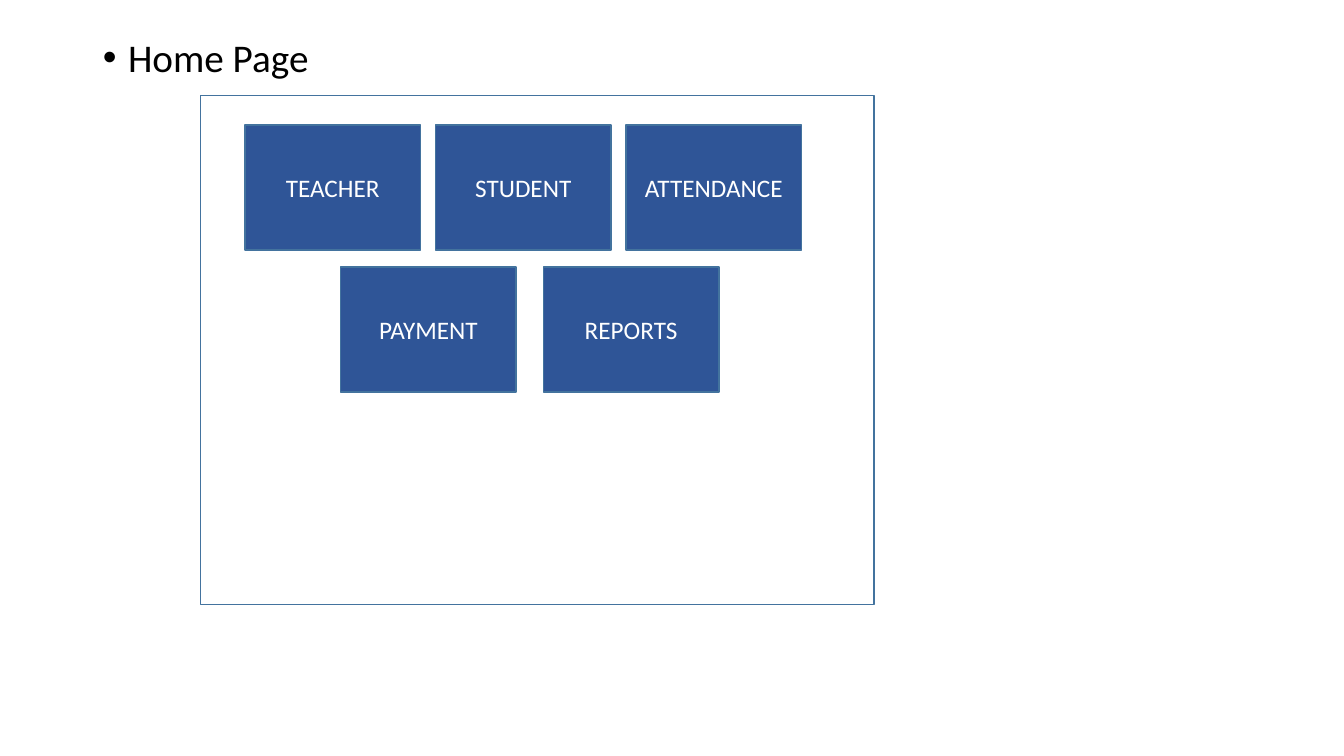
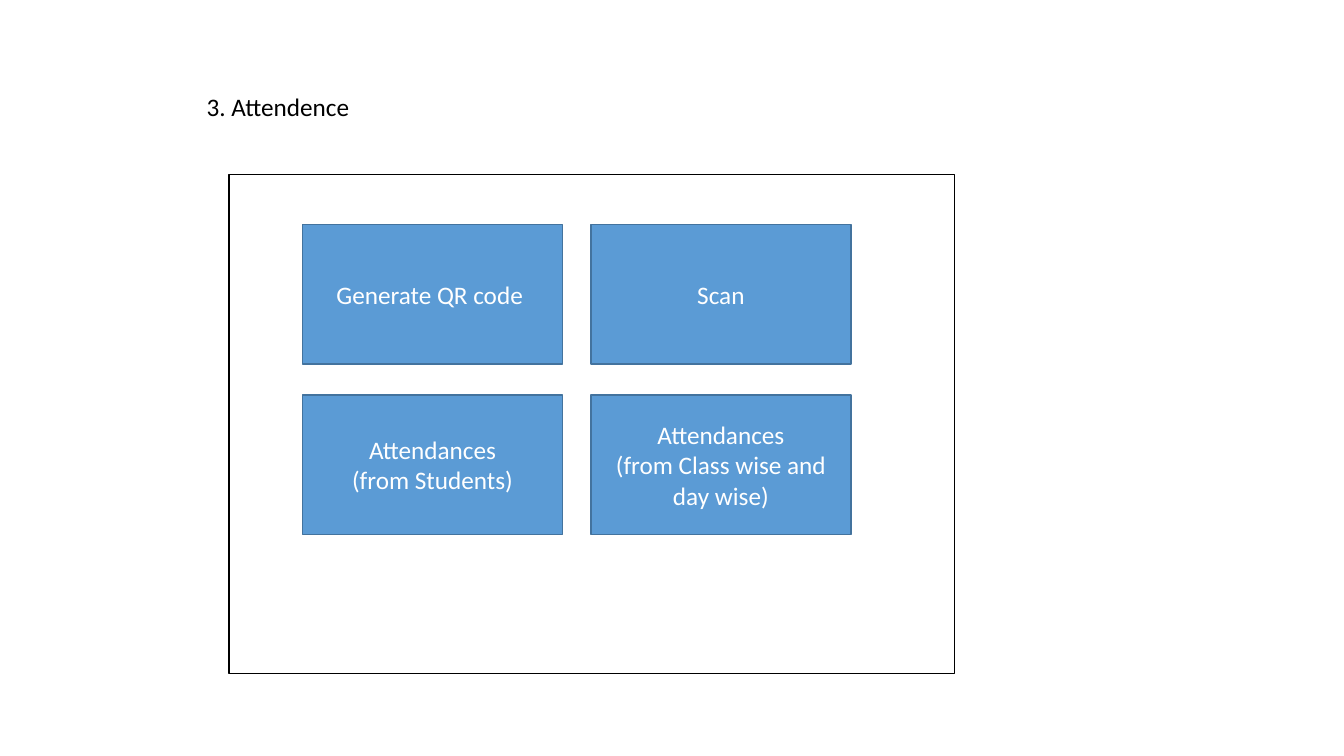
from lxml import etree
from pptx import Presentation
from pptx.dml.color import RGBColor
from pptx.enum.shapes import MSO_SHAPE as SHAPE
from pptx.enum.text import MSO_ANCHOR as ANCHOR, MSO_AUTO_SIZE as AUTO_SIZE, PP_ALIGN as ALIGN
from pptx.oxml.ns import qn
from pptx.util import Inches, Pt

FONT = "Calibri"
COLORS = {
    "text": "000000",
    "white": "FFFFFF",
    "navy": "2F5597",
    "blue": "5B9BD5",
    "edge": "43739E",
}
TITLE_ONLY = 5
INDENT = 0.25


def color(name):
    return RGBColor.from_string(COLORS[name])


def format_text(tf, size, color_name, align):
    """Give every paragraph the same font and alignment."""
    for p in tf.paragraphs:
        p.alignment = align
        for r in p.runs:
            r.font.name = FONT
            r.font.size = Pt(size)
            r.font.color.rgb = color(color_name)


def add_bullet(p):
    pPr = p._p.get_or_add_pPr()
    pPr.set("marL", str(Inches(INDENT)))
    pPr.set("indent", str(-Inches(INDENT)))
    font = etree.SubElement(pPr, qn("a:buFont"))
    font.set("typeface", "Arial")
    etree.SubElement(pPr, qn("a:buChar")).set("char", "•")


def add_titled_slide(prs, text, left, top, width, height, size):
    slide = prs.slides.add_slide(prs.slide_layouts[TITLE_ONLY])
    title = slide.shapes.title
    title.left, title.top = Inches(left), Inches(top)
    title.width, title.height = Inches(width), Inches(height)
    tf = title.text_frame
    tf.text = text
    tf.word_wrap = True
    tf.auto_size = AUTO_SIZE.NONE
    tf.vertical_anchor = ANCHOR.TOP
    format_text(tf, size, "text", ALIGN.LEFT)
    return slide


def add_rect(slide, left, top, width, height, fill=None, line="edge"):
    sp = slide.shapes.add_shape(SHAPE.RECTANGLE, Inches(left), Inches(top),
                                Inches(width), Inches(height))
    sp.shadow.inherit = False
    if fill:
        sp.fill.solid()
        sp.fill.fore_color.rgb = color(fill)
    else:
        sp.fill.background()
    sp.line.color.rgb = color(line)
    sp.line.width = Pt(1)
    return sp


def add_box_row(slide, labels, left, top, size, gap, fill):
    """Place equal labelled boxes side by side."""
    width, height = size
    for col, label in enumerate(labels):
        sp = add_rect(slide, left + col * (width + gap), top, width, height, fill)
        tf = sp.text_frame
        tf.text = label
        tf.word_wrap = True
        tf.vertical_anchor = ANCHOR.MIDDLE
        format_text(tf, 18, "white", ALIGN.CENTER)


def add_home_page(prs):
    slide = add_titled_slide(prs, "Home Page", 0.92, 0.33, 11.5, 0.6, 28)
    p = slide.shapes.title.text_frame.paragraphs[0]
    p.line_spacing = 0.9
    add_bullet(p)

    # Window frame and menu tiles
    add_rect(slide, 1.99, 0.95, 6.68, 5.05)
    rows = [
        (["TEACHER", "STUDENT", "ATTENDANCE"], 2.43, 0.15),
        (["PAYMENT", "REPORTS"], 3.38, 0.27),
    ]
    for row, (labels, left, gap) in enumerate(rows):
        add_box_row(slide, labels, left, 1.24 + row * 1.41, (1.74, 1.24), gap, "navy")


def add_attendance_page(prs):
    slide = add_titled_slide(prs, "3. Attendence", 1.95, 0.86, 7.5, 0.4, 18)

    # Window frame and option tiles
    add_rect(slide, 2.27, 1.73, 7.2, 4.95, "white", "text")
    rows = [
        ["Generate QR code ", "Scan"],
        ["Attendances\n(from Students)", "Attendances\n(from Class wise and day wise)"],
    ]
    for row, labels in enumerate(rows):
        add_box_row(slide, labels, 3, 2.23 + row * 1.69, (2.58, 1.38), 0.28, "blue")


def main():
    prs = Presentation()
    prs.slide_width, prs.slide_height = Inches(13.33), Inches(7.5)
    add_home_page(prs)
    add_attendance_page(prs)
    prs.save("out.pptx")


if __name__ == "__main__":
    main()
